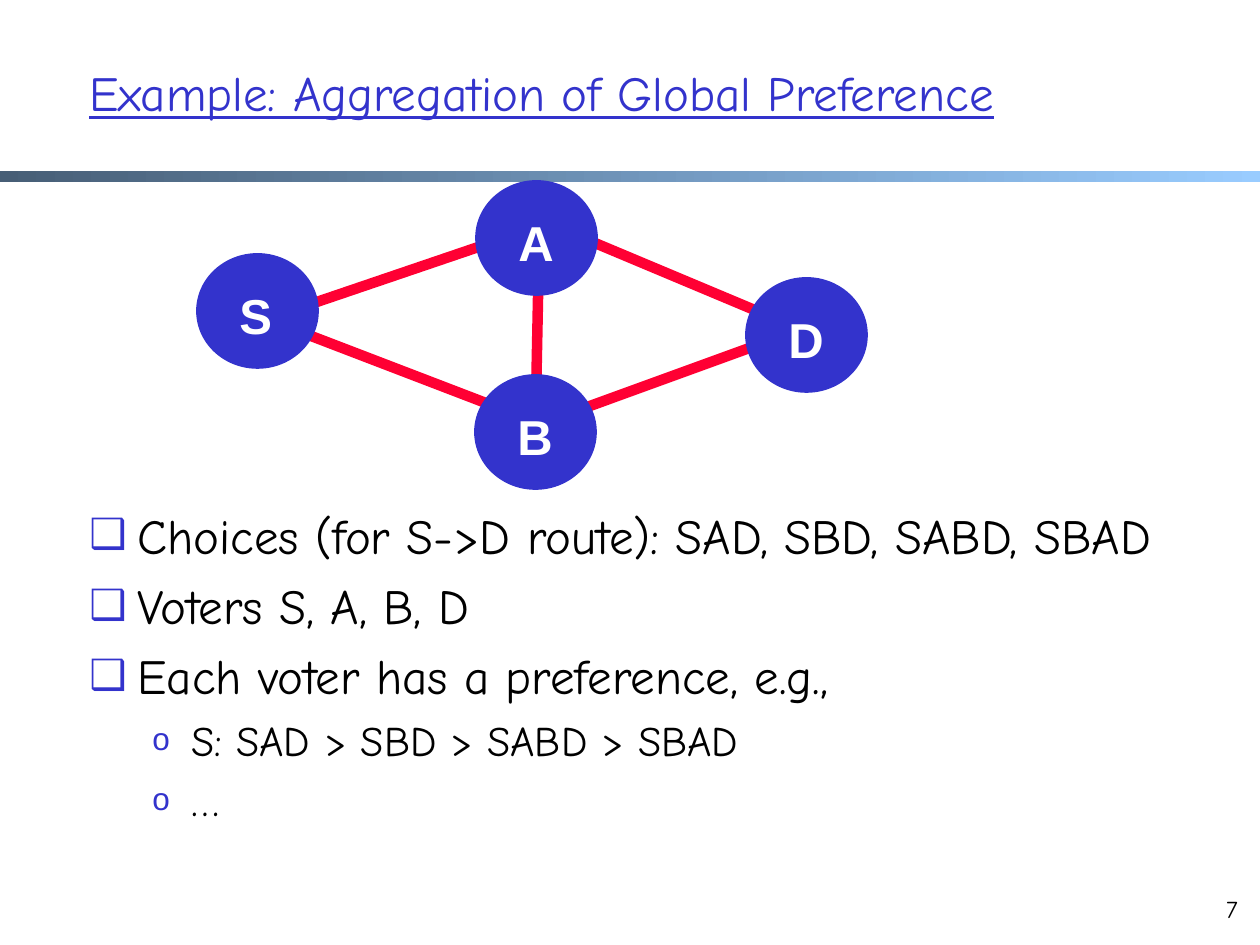
from lxml import etree
from pptx import Presentation
from pptx.dml.color import RGBColor
from pptx.enum.shapes import MSO_CONNECTOR, MSO_SHAPE
from pptx.enum.text import MSO_ANCHOR, PP_ALIGN
from pptx.oxml.ns import qn
from pptx.util import Emu, Pt

STRAIGHT = MSO_CONNECTOR.STRAIGHT
RECTANGLE, OVAL = MSO_SHAPE.RECTANGLE, MSO_SHAPE.OVAL
TOP, MIDDLE = MSO_ANCHOR.TOP, MSO_ANCHOR.MIDDLE
LEFT, RIGHT = PP_ALIGN.LEFT, PP_ALIGN.RIGHT

BLUE = RGBColor(0x33, 0x33, 0xCC)
RED = RGBColor(0xFF, 0x00, 0x33)
BLACK = RGBColor(0x00, 0x00, 0x00)
WHITE = RGBColor(0xFF, 0xFF, 0xFF)
SLATE = RGBColor(0x47, 0x5E, 0x76)
SKY = RGBColor(0x99, 0xCC, 0xFF)

BODY_FONT, LABEL_FONT = "Comic Neue", "Arial"

NODES = [("S", 197, 254, 58), ("A", 476, 181, 58), ("B", 475, 375, 62), ("D", 746, 278, 62)]
EDGES = [
    (539, 249, 536, 401),
    (571, 233, 776, 319),
    (557, 418, 799, 330),
    (525, 418, 285, 326),
    (505, 238, 261, 321),
]
LEVELS = [
    {"bullet": "❑", "scale": 85, "size": 28, "margin": 48, "hanging": 48, "before": 6.5},
    {"bullet": "o", "scale": 75, "size": 24, "margin": 102, "hanging": 39, "before": 5.5},
]
POINTS = [
    (0, "Choices (for S->D route): SAD, SBD, SABD, SBAD"),
    (0, "Voters S, A, B, D"),
    (0, "Each voter has a preference, e.g.,"),
    (1, "S: SAD > SBD > SABD > SBAD"),
    (1, "…"),
]


def px(length):
    """Turn pixels into EMU."""
    return Emu(round(length * 914400 / 126))


def add_box(shapes, left, top, width, height, anchor=TOP, wrap=True):
    """Add an empty text box and return its text frame."""
    frame = shapes.add_textbox(px(left), px(top), px(width), px(height)).text_frame
    frame.word_wrap = wrap
    frame.vertical_anchor = anchor
    return frame


def add_span(para, text, size, color, font=BODY_FONT):
    """Add one formatted run to a paragraph."""
    span = para.add_run()
    span.text = text
    span.font.size = Pt(size)
    span.font.name = font
    span.font.color.rgb = color
    return span


def add_band(page):
    """Add the gradient band under the title."""
    band = page.shapes.add_shape(RECTANGLE, 0, px(171), px(1260), px(11))
    band.shadow.inherit = False
    band.line.fill.background()
    band.fill.gradient()
    band.fill.gradient_angle = 0
    for stop, color, position in zip(band.fill.gradient_stops, (SLATE, SKY), (0, 1)):
        stop.color.rgb = color
        stop.position = position


def add_edge(page, *ends):
    """Add a thick red link between two nodes."""
    edge = page.shapes.add_connector(STRAIGHT, *map(px, ends))
    edge.line.color.rgb = RED
    edge.line.width = Pt(6)
    etree.SubElement(edge._element.spPr, qn("a:effectLst"))


def add_node(page, name, left, top, label_width):
    """Add a grouped disc and its letter."""
    group = page.shapes.add_group_shape()
    disc = group.shapes.add_shape(OVAL, px(left), px(top), px(121), px(114))
    disc.shadow.inherit = False
    disc.fill.solid()
    disc.fill.fore_color.rgb = BLUE
    disc.line.color.rgb = BLUE
    disc.line.width = Pt(1)
    label = add_box(group.shapes, left + 30, top + 25, label_width, 72, wrap=False)
    add_span(label.paragraphs[0], name, 28, WHITE, LABEL_FONT).font.bold = True


def set_bullet(para, level):
    """Give a paragraph its hanging indent and blue bullet."""
    props = para._p.get_or_add_pPr()
    props.set("marL", str(px(level["margin"])))
    props.set("indent", str(-px(level["hanging"])))
    color = etree.SubElement(props, qn("a:buClr"))
    etree.SubElement(color, qn("a:srgbClr"), val=str(BLUE))
    etree.SubElement(props, qn("a:buSzPct"), val=str(level["scale"] * 1000))
    etree.SubElement(props, qn("a:buFont"), typeface=LABEL_FONT)
    etree.SubElement(props, qn("a:buChar"), char=level["bullet"])


def add_points(page):
    """Add the two-level bullet list."""
    frame = add_box(page.shapes, 77, 499, 1148, 406)
    for index, (depth, text) in enumerate(POINTS):
        level = LEVELS[depth]
        para = frame.add_paragraph() if index else frame.paragraphs[0]
        para.level = depth
        set_bullet(para, level)
        if index:
            para.space_before = Pt(level["before"])
        add_span(para, text, level["size"], BLACK)


def add_line(page, area, text, size, color, anchor=TOP, align=LEFT):
    """Add a single line of text and return its run."""
    para = add_box(page.shapes, *area, anchor=anchor).paragraphs[0]
    para.alignment = align
    return add_span(para, text, size, color)


def main():
    """Build and save the slide."""
    deck = Presentation()
    deck.slide_width, deck.slide_height = px(1260), px(945)
    page = deck.slides.add_slide(deck.slide_layouts[6])
    add_band(page)
    for edge in EDGES:
        add_edge(page, *edge)
    title = add_line(page, (77, 26, 1106, 131), "Example: Aggregation of Global Preference",
                     28, BLUE, anchor=MIDDLE)
    title.font.underline = True
    add_line(page, (1192, 888, 58, 48), "7", 14, BLACK, align=RIGHT)
    for node in NODES:
        add_node(page, *node)
    add_points(page)
    deck.save("out.pptx")


if __name__ == "__main__":
    main()
